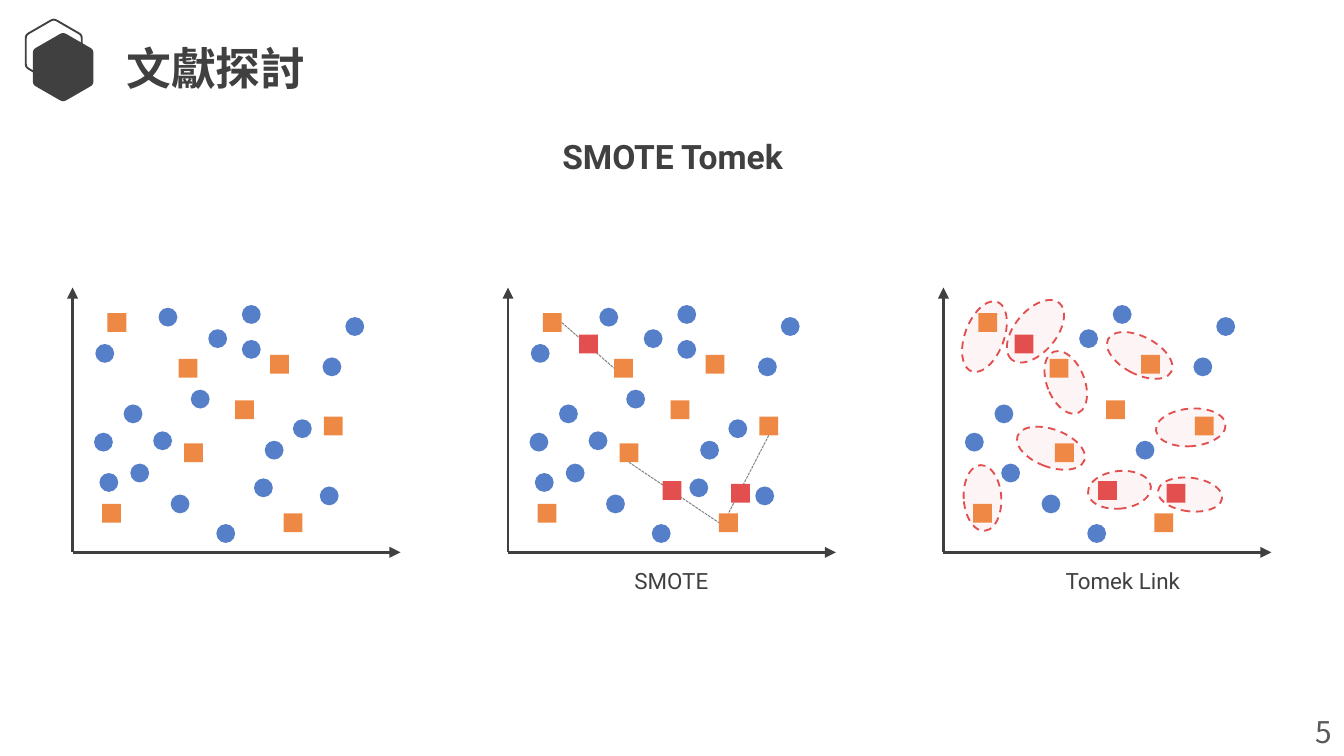
from dataclasses import dataclass
from math import cos, radians, sin

from lxml.etree import SubElement
from pptx import Presentation
from pptx.dml.color import RGBColor
from pptx.enum.dml import MSO_LINE as Dash
from pptx.enum.shapes import MSO_CONNECTOR as Connector, MSO_SHAPE as Preset
from pptx.enum.text import MSO_ANCHOR as Anchor, MSO_AUTO_SIZE as AutoSize, PP_ALIGN as Align
from pptx.oxml.ns import qn
from pptx.util import Inches, Pt

COLORS = {"ink": "404040", "number": "595959", "majority": "4472C4", "minority": "ED7D31",
          "synthetic": "E34F4F", "link": "E03E3E", "guide": "808080"}
LATIN, CHINESE = "Roboto", "Noto Sans CJK JP"
MARK = 0.14          # side of a data mark
PITCH = 3.24         # distance between neighbouring plots
AXIS_X, AXIS_Y = 0.54, 4.11

# Mark positions (left, top) in the frame of the first plot.
KEPT_CIRCLES = [(2.4, 2.66), (0.92, 3.01), (1.27, 3.68), (1.61, 3.9), (2.57, 2.36),
                (1.8, 2.27), (1.55, 2.45), (0.97, 3.45), (1.97, 3.28), (0.7, 3.22)]
REMOVED_CIRCLES = [(1.14, 3.21), (0.71, 2.56), (2.18, 3.12), (1.89, 3.56), (0.74, 3.52),
                   (2.38, 3.62), (1.42, 2.9), (1.8, 2.53)]
SQUARES = [(0.76, 3.75), (2.01, 2.64), (2.41, 3.1), (1.33, 2.67),
           (2.11, 3.82), (1.37, 3.3), (0.8, 2.33), (1.75, 2.98)]
SYNTHETIC = [(1.07, 2.49), (1.69, 3.58), (2.2, 3.6)]


@dataclass
class Guide:
    """A dashed line between two squares, given by index and side."""
    start: int
    start_side: int
    end: int
    end_side: int


@dataclass
class Link:
    left: float
    top: float
    width: float
    height: float
    rotation: float


@dataclass
class Plot:
    circles: list
    synthetic: list
    guides: list
    links: list
    caption: str = ""
    caption_left: float = 0


GUIDES = [Guide(2, 2, 4, 0), Guide(5, 2, 4, 1), Guide(6, 3, 3, 1)]
LINKS = [Link(8.19, 3.41, 0.28, 0.47, 263.9), Link(8.34, 2.38, 0.28, 0.53, 297.4),
         Link(7.43, 2.31, 0.55, 0.31, 310), Link(7.79, 2.6, 0.28, 0.49, 338.4),
         Link(8.73, 3.44, 0.25, 0.48, 276.7), Link(8.72, 2.92, 0.28, 0.52, 265.2),
         Link(7.17, 3.46, 0.28, 0.49, 356.6), Link(7.05, 2.36, 0.55, 0.29, 290.5),
         Link(7.68, 3.07, 0.28, 0.53, 290.2)]
PLOTS = [
    Plot(KEPT_CIRCLES + REMOVED_CIRCLES + [(1.18, 2.29)], [], [], []),
    Plot(KEPT_CIRCLES + REMOVED_CIRCLES + [(1.22, 2.29)], SYNTHETIC, GUIDES, [], "SMOTE", 4.07),
    Plot(KEPT_CIRCLES, SYNTHETIC, [], LINKS, "Tomek Link", 7.43),
]


def color(name: str) -> RGBColor:
    return RGBColor.from_string(COLORS[name])


def set_fill(shape, name: str, opacity: int = 100) -> None:
    shape.fill.solid()
    shape.fill.fore_color.rgb = color(name)
    if opacity < 100:
        tint = shape.fill._xPr.find(qn("a:solidFill"))[0]
        SubElement(tint, qn("a:alpha"), val=str(opacity * 1000))


def set_line(line, name: str, width: float, dash=None) -> None:
    line.color.rgb = color(name)
    line.width = Pt(width)
    if dash is not None:
        line.dash_style = dash


def write(shape, text: str, font: str, size: int, tone: str = "ink", bold: bool = False,
          align=Align.LEFT, **frame_format) -> None:
    frame = shape.text_frame
    frame_format = {"word_wrap": True, "auto_size": AutoSize.SHAPE_TO_FIT_TEXT, **frame_format}
    for name, value in frame_format.items():
        setattr(frame, name, value)
    para = frame.paragraphs[0]
    para.alignment = align
    span = para.add_run()
    span.text = text
    for name, value in {"name": font, "size": Pt(size), "bold": bold}.items():
        setattr(span.font, name, value)
    span.font.color.rgb = color(tone)
    SubElement(span._r.get_or_add_rPr(), qn("a:ea"), typeface=font)


def add_preset(shapes, preset, left: float, top: float, width: float, height: float):
    shape = shapes.add_shape(preset, Inches(left), Inches(top), Inches(width), Inches(height))
    shape.shadow.inherit = False
    shape.line.fill.background()
    return shape


def add_marks(shapes, preset, spots: list, shift: float, name: str, opacity: int = 90) -> list:
    marks = []
    for left, top in spots:
        mark = add_preset(shapes, preset, left + shift, top, MARK, MARK)
        set_fill(mark, name, opacity)
        marks.append(mark)
    return marks


def add_line(shapes, start: tuple, end: tuple, name: str, width: float, dash=None, arrow=False):
    line = shapes.add_connector(Connector.STRAIGHT, *map(Inches, start + end))
    set_line(line.line, name, width, dash)
    if arrow:
        SubElement(line.line._get_or_add_ln(), qn("a:tailEnd"), type="triangle")
    SubElement(line._element.spPr, qn("a:effectLst"))
    return line


def add_hexagon(shapes, center_x: float, center_y: float, radius: float):
    """Draw a pointed-top hexagon with rounded corners."""
    corners = [(center_x + radius * sin(radians(turn)), center_y - radius * cos(radians(turn)))
               for turn in range(0, 360, 60)]
    cut = 0.1
    points = []
    for index, corner in enumerate(corners):
        before, after = corners[index - 1], corners[(index + 1) % 6]
        for step in range(5):
            t = step / 4
            points.append(tuple(c + cut * ((1 - t) ** 2 * (b - c) + t ** 2 * (a - c))
                                for b, c, a in zip(before, corner, after)))
    units = [(round(x * 1000), round(y * 1000)) for x, y in points]
    builder = shapes.build_freeform(*units[0], scale=Inches(1) / 1000)
    builder.add_line_segments(units[1:], close=True)
    hexagon = builder.convert_to_shape()
    hexagon.shadow.inherit = False
    return hexagon


def add_plot(page, plot: Plot, shift: float) -> None:
    shapes = page.shapes.add_group_shape().shapes
    for link in plot.links:
        oval = add_preset(shapes, Preset.OVAL, link.left, link.top, link.width, link.height)
        oval.rotation = link.rotation
        set_fill(oval, "link", 5)
        set_line(oval.line, "synthetic", 1, Dash.DASH)
    add_marks(shapes, Preset.OVAL, plot.circles, shift, "majority")
    squares = add_marks(shapes, Preset.RECTANGLE, SQUARES, shift, "minority")
    origin = (AXIS_X + shift, AXIS_Y)
    for end in [(origin[0] + 2.44, AXIS_Y), (origin[0], 2.14)]:
        add_line(shapes, origin, end, "ink", 1.5, arrow=True)
    for guide in plot.guides:
        line = add_line(shapes, origin, origin, "guide", 0.5, Dash.SQUARE_DOT)
        line.begin_connect(squares[guide.start], guide.start_side)
        line.end_connect(squares[guide.end], guide.end_side)
    add_marks(shapes, Preset.RECTANGLE, plot.synthetic, shift, "synthetic", 100)
    if plot.caption:
        caption = add_preset(shapes, Preset.ROUNDED_RECTANGLE, plot.caption_left, 4.15, 1.85, 0.34)
        caption.fill.background()
        write(caption, plot.caption, LATIN, 12, align=Align.CENTER, vertical_anchor=Anchor.MIDDLE)


def add_text(page, left: float, top: float, width: float, height: float):
    return page.shapes.add_textbox(Inches(left), Inches(top), Inches(width), Inches(height))


def main() -> None:
    deck = Presentation()
    deck.slide_width = Inches(10)
    deck.slide_height = deck.slide_width * 9 // 16
    page = deck.slides.add_slide(deck.slide_layouts[5])

    title = page.shapes.title
    for name, value in {"left": 0.87, "top": 0.26, "width": 1.77, "height": 0.48}.items():
        setattr(title, name, Inches(value))
    write(title, "文獻探討", CHINESE, 24, bold=True, vertical_anchor=Anchor.TOP,
          margin_left=Inches(0.07), margin_right=Inches(0.07),
          margin_top=Inches(0.04), margin_bottom=Inches(0.04))
    write(add_text(page, 2.07, 0.96, 5.87, 0.4), "SMOTE Tomek", LATIN, 18, bold=True,
          align=Align.CENTER, vertical_anchor=Anchor.MIDDLE)
    write(add_text(page, 9.69, 5.26, 0.31, 0.37), "5", CHINESE, 16, "number", word_wrap=False)

    emblem = page.shapes.add_group_shape().shapes
    outline = add_hexagon(emblem, 0.4, 0.38, 0.24)
    outline.fill.background()
    set_line(outline.line, "ink", 1)
    solid = add_hexagon(emblem, 0.47, 0.5, 0.26)
    set_fill(solid, "ink")
    solid.line.fill.background()

    for index, plot in enumerate(PLOTS):
        add_plot(page, plot, index * PITCH)
    deck.save("out.pptx")


if __name__ == "__main__":
    main()
